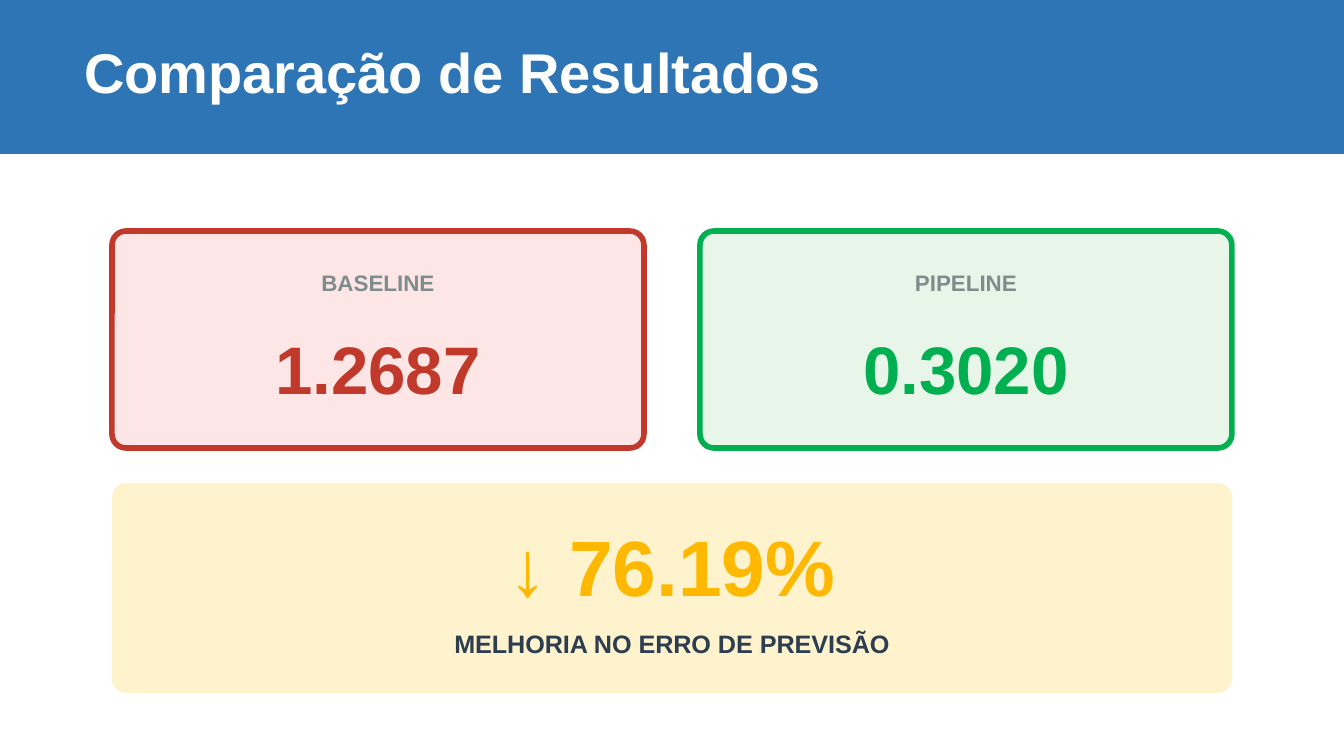
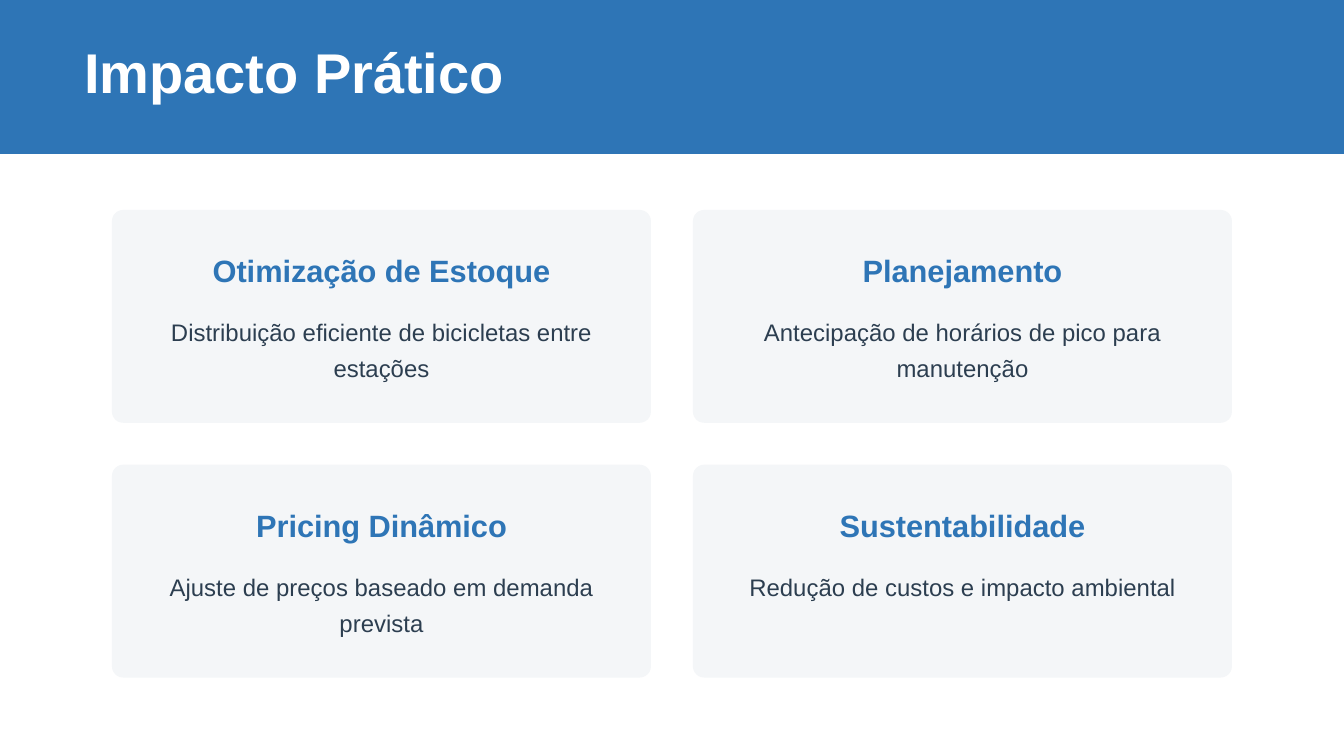
from dataclasses import dataclass

from pptx import Presentation
from pptx.dml.color import RGBColor
from pptx.enum.shapes import MSO_SHAPE
from pptx.enum.text import MSO_ANCHOR, MSO_AUTO_SIZE, PP_ALIGN
from pptx.util import Emu, Pt

RECTANGLE = MSO_SHAPE.RECTANGLE
ROUNDED = MSO_SHAPE.ROUNDED_RECTANGLE
LEFT, CENTER = PP_ALIGN.LEFT, PP_ALIGN.CENTER
TOP, NO_AUTOFIT = MSO_ANCHOR.TOP, MSO_AUTO_SIZE.NONE

EMU_PER_PX = 9525
SLIDE_WIDTH, SLIDE_HEIGHT = 960, 540
TITLE_ONLY_LAYOUT = 5
MARGIN = 80


@dataclass(frozen=True)
class Theme:
    font: str = "Arial"
    blue: str = "2E75B6"
    white: str = "FFFFFF"
    dark: str = "2C3E50"
    gray: str = "7F8C8D"
    red: str = "C0392B"
    light_red: str = "FFE6E6"
    green: str = "00B050"
    light_green: str = "E8F5E9"
    amber: str = "FFB800"
    light_amber: str = "FFF3CD"
    card: str = "F4F6F8"
    title_size: float = 30
    label_size: float = 12
    value_size: float = 36
    highlight_size: float = 42
    caption_size: float = 13.5
    heading_size: float = 16.5
    body_size: float = 12.8
    value_spacing: float = 50.4


THEME = Theme()

RESULTS = [
    ("BASELINE", "1.2687", THEME.red, THEME.light_red),
    ("PIPELINE", "0.3020", THEME.green, THEME.light_green),
]

# Heading, description and number of description lines
IMPACTS = [
    ("Otimização de Estoque", "Distribuição eficiente de bicicletas entre estações", 2),
    ("Planejamento", "Antecipação de horários de pico para manutenção", 2),
    ("Pricing Dinâmico", "Ajuste de preços baseado em demanda prevista", 2),
    ("Sustentabilidade", "Redução de custos e impacto ambiental", 1),
]


def px(length):
    return Emu(length * EMU_PER_PX)


def box_px(box):
    return [px(length) for length in box]


def write_text(shape, text, *, size, color, spacing, bold=True, align=CENTER,
               before=0, after=0):
    frame = shape.text_frame
    frame.word_wrap = True
    frame.auto_size = NO_AUTOFIT
    frame.vertical_anchor = TOP
    frame.margin_left = frame.margin_right = 0
    frame.margin_top = frame.margin_bottom = 0
    paragraph = frame.paragraphs[0]
    paragraph.alignment = align
    paragraph.line_spacing = Pt(spacing)
    paragraph.space_before = Pt(before)
    paragraph.space_after = Pt(after)
    run = paragraph.add_run()
    run.text = text
    run.font.name = THEME.font
    run.font.size = Pt(size)
    run.font.bold = bold
    run.font.color.rgb = RGBColor.from_string(color)


def add_text(slide, box, text, **text_format):
    write_text(slide.shapes.add_textbox(*box_px(box)), text, **text_format)


def add_panel(slide, box, fill, kind=ROUNDED, radius=0, border=None):
    """Add a filled shape; radius is the corner radius in px."""
    shape = slide.shapes.add_shape(kind, *box_px(box))
    shape.shadow.inherit = False
    shape.fill.solid()
    shape.fill.fore_color.rgb = RGBColor.from_string(fill)
    if border:
        shape.line.color.rgb = RGBColor.from_string(border)
        shape.line.width = Pt(3)
    else:
        shape.line.fill.background()
    if radius:
        shape.adjustments[0] = radius / min(box[2:])
    return shape


def add_titled_slide(presentation, text, title_width):
    slide = presentation.slides.add_slide(presentation.slide_layouts[TITLE_ONLY_LAYOUT])
    band = add_panel(slide, (0, 0, SLIDE_WIDTH, 110), THEME.blue, kind=RECTANGLE)
    title = slide.shapes.title
    title.left, title.top, title.width, title.height = box_px((60, 35, title_width, 40))
    write_text(title, text, size=THEME.title_size, color=THEME.white,
               spacing=30, align=LEFT)
    title._element.addprevious(band._element)
    return slide


def add_result_card(slide, left, top, label, value, color, fill):
    add_panel(slide, (left, top, 380, 155), fill, radius=10, border=color)
    add_text(slide, (left + 107, top + 29, 166, 18), label, size=THEME.label_size,
             color=THEME.gray, spacing=13.3, after=9)
    add_text(slide, (left + 26, top + 59, 328, 67), value, size=THEME.value_size,
             color=color, spacing=THEME.value_spacing)


def add_highlight(slide, top, value, caption):
    add_panel(slide, (MARGIN, top, 800, 150), THEME.light_amber, radius=10)
    add_text(slide, (98, top + 25, 764, 67), value, size=THEME.highlight_size,
             color=THEME.amber, spacing=THEME.value_spacing)
    add_text(slide, (98, top + 100, 764, 25), caption, size=THEME.caption_size,
             color=THEME.dark, spacing=18.9, before=6)


def add_impact_card(slide, box, heading, body, lines):
    left, top, width, _ = box
    add_panel(slide, box, THEME.card, radius=8)
    add_text(slide, (left + 27, top + 30, width - 54, 26), heading,
             size=THEME.heading_size, color=THEME.blue, spacing=19.8, after=11.2)
    add_text(slide, (left + 27, top + 72, width - 54, 26 * lines), body,
             size=THEME.body_size, color=THEME.dark, spacing=19.1, bold=False)


def build_results(presentation):
    slide = add_titled_slide(presentation, "Comparação de Resultados", 538)
    for column, result in enumerate(RESULTS):
        add_result_card(slide, MARGIN + column * 420, 165, *result)
    add_highlight(slide, 345, "↓ 76.19%", "MELHORIA NO ERRO DE PREVISÃO")


def build_impacts(presentation):
    slide = add_titled_slide(presentation, "Impacto Prático", 429)
    width, height, gap = 385, 152, 30
    for index, impact in enumerate(IMPACTS):
        row, column = divmod(index, 2)
        box = (MARGIN + column * (width + gap), 150 + row * (height + gap), width, height)
        add_impact_card(slide, box, *impact)


def main():
    presentation = Presentation()
    presentation.slide_width = px(SLIDE_WIDTH)
    presentation.slide_height = px(SLIDE_HEIGHT)
    build_results(presentation)
    build_impacts(presentation)
    presentation.save("out.pptx")


if __name__ == "__main__":
    main()
